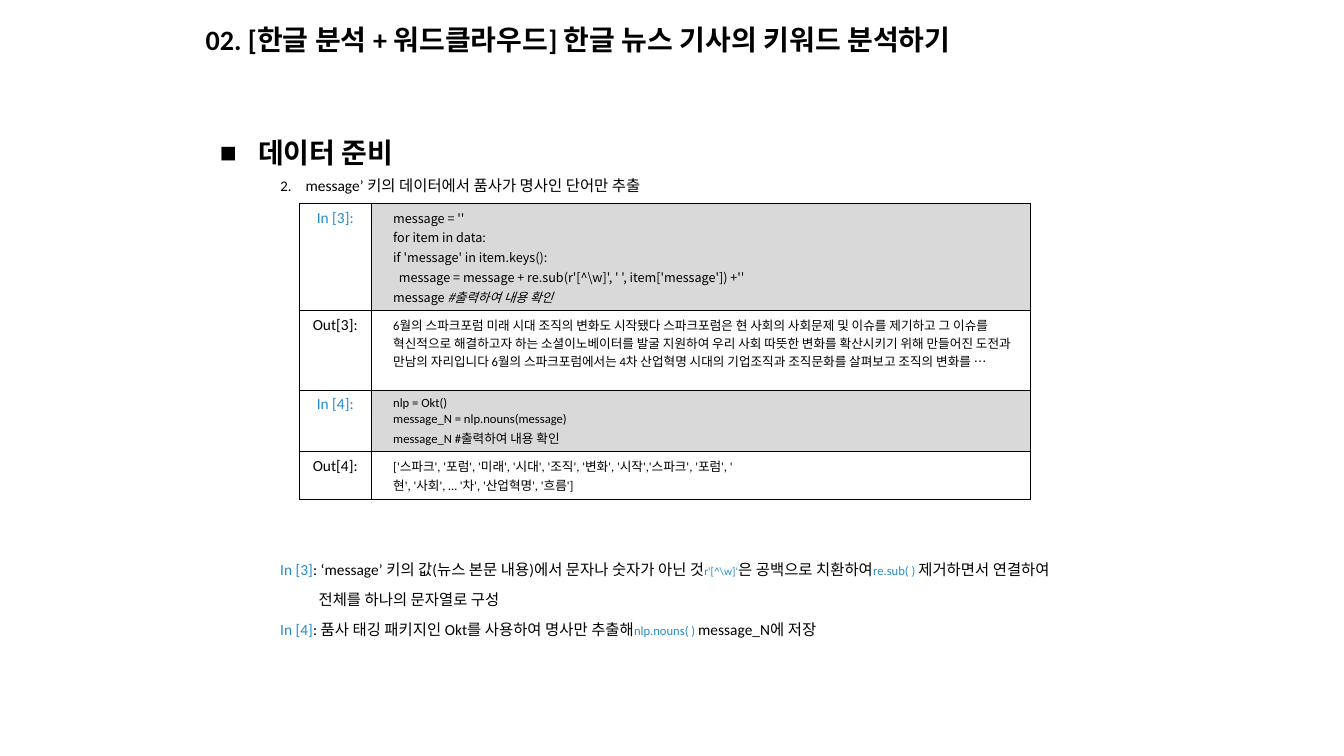
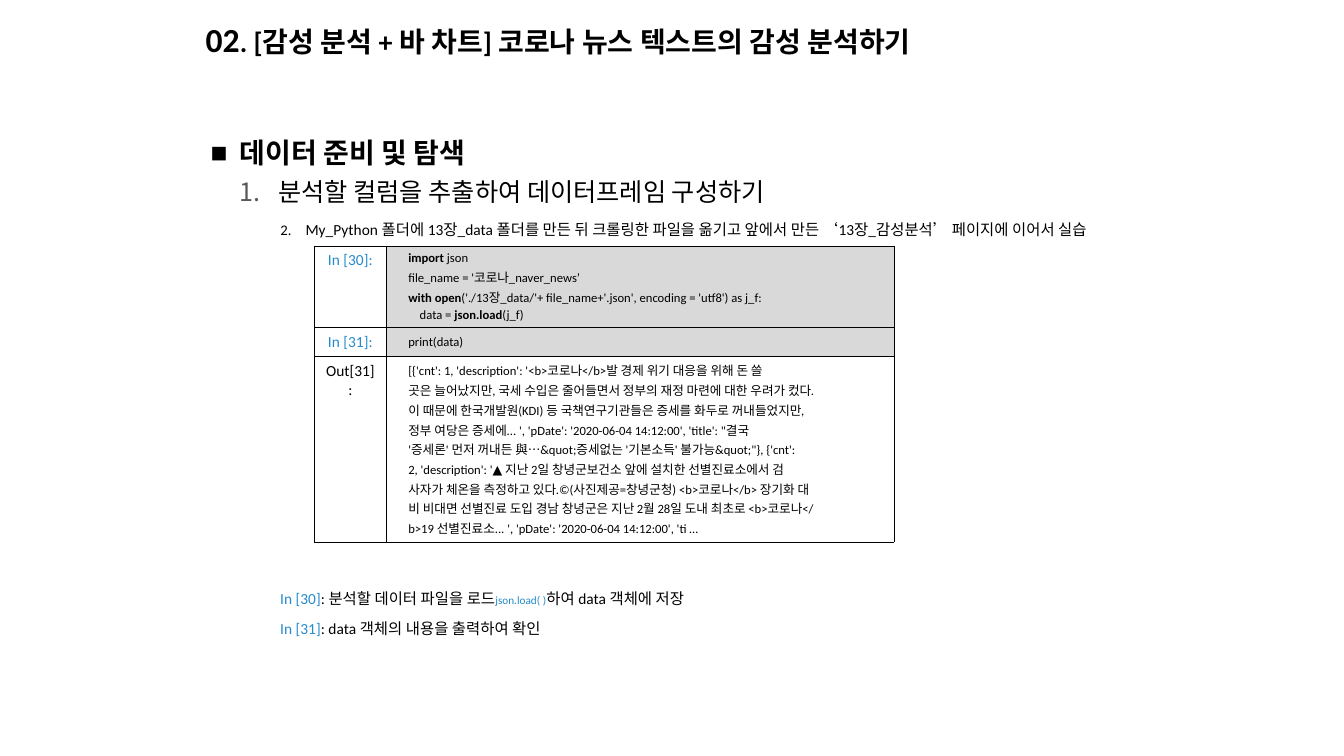
from lxml import etree
from pptx import Presentation
from pptx import util as u
from pptx.dml.color import RGBColor
from pptx.enum import text
from pptx.oxml import ns

BLACK = RGBColor(0x00, 0x00, 0x00)
WHITE = RGBColor(0xFF, 0xFF, 0xFF)
BLUE = RGBColor(0x25, 0x8B, 0xCD)
CODE_GREY = RGBColor(0xD9, 0xD9, 0xD9)
NUMBER_GREY = RGBColor(0x59, 0x59, 0x59)
LATIN_FONT = "Calibri"
KOREAN_FONT = "Noto Sans CJK KR"
LINE_RATIO = 1.22

BOLD = {"bold": True}
ITALIC = {"italic": True}
PROMPT = {"color": BLUE}
TERM = {"color": BLUE, "size": 9}
SMALL_TERM = {"color": BLUE, "size": 8}
HEADING = {"size": 20, "bold": True, "name": "Arial"}
NOTE = {"size": 11}
CODE = {"size": 9}

TITLE_GAPS = {"line_spacing": 0.9, "alignment": text.PP_ALIGN.LEFT}
LABEL_GAPS = {"alignment": text.PP_ALIGN.CENTER}
CODE_GAPS = {"space_before": u.Pt(0.5), "space_after": u.Pt(0.5)}
NOTE_GAPS = {"space_before": u.Pt(5), "space_after": u.Pt(3)}
STEP_GAPS = {"space_before": u.Pt(5), "space_after": u.Pt(4)}


def sub(parent, tag, **attributes):
    """Append a DrawingML child element."""
    return etree.SubElement(parent, ns.qn(f"a:{tag}"), attributes)


def set_values(target, values):
    """Set attributes from a dict."""
    for name, value in values.items():
        setattr(target, name, value)


def add_runs(paragraph, runs, style):
    """Write a string or (text, changes) runs into a paragraph."""
    for item in [runs] if isinstance(runs, str) else runs:
        words, changes = (item, {}) if isinstance(item, str) else item
        values = {"name": LATIN_FONT, "bold": False, "italic": False,
                  "color": BLACK, **style, **changes}
        run = paragraph.add_run()
        run.text = words
        run.font.color.rgb = values.pop("color")
        values["size"] = u.Pt(values["size"])
        set_values(run.font, values)
        sub(run.font._element, "ea", typeface=KOREAN_FONT)


def next_paragraph(frame):
    """Return the empty first paragraph or a new one."""
    first = frame.paragraphs[0]
    return frame.add_paragraph() if first.runs else first


def add_paragraph(frame, runs, style, gaps, margin=0, hanging=0, bullet=None):
    """Add a paragraph with its spacing, indent and bullet."""
    paragraph = next_paragraph(frame)
    set_values(paragraph, gaps)
    if paragraph is not None and len(frame.paragraphs) == 1:
        paragraph.space_before = u.Pt(0)
    properties = paragraph._p.get_or_add_pPr()
    properties.set("marL", str(u.Inches(margin)))
    properties.set("indent", str(-u.Inches(hanging)))
    if bullet:
        color = sub(properties, "buClr")
        sub(color, "srgbClr", val=str(bullet["color"]))
        sub(properties, "buSzPct", val=bullet.get("percent", "100000"))
        sub(properties, "buFont", typeface=bullet.get("font", LATIN_FONT))
        if "char" in bullet:
            sub(properties, "buChar", char=bullet["char"])
        else:
            sub(properties, "buAutoNum", type="arabicPeriod",
                startAt=str(bullet["start"]))
    add_runs(paragraph, runs, style)
    return paragraph


def add_line(frame, runs, style, gaps, **layout):
    """Add a paragraph with a fixed line height."""
    paragraph = add_paragraph(frame, runs, style, gaps, **layout)
    paragraph.line_spacing = u.Pt(round(style["size"] * LINE_RATIO, 1))


def add_title(slide, runs):
    """Place and fill the title placeholder."""
    title = slide.shapes.title
    set_values(title, {"left": u.Inches(1.94), "top": u.Inches(0.11),
                       "width": u.Inches(9.5), "height": u.Inches(0.6)})
    frame = title.text_frame
    set_values(frame, {"word_wrap": True, "auto_size": text.MSO_AUTO_SIZE.NONE,
                       "vertical_anchor": text.MSO_ANCHOR.MIDDLE})
    add_paragraph(frame, runs, {"size": 20, "bold": True}, TITLE_GAPS)


def add_text_frame(slide, left, top, width, height):
    """Add a wrapping text box without insets."""
    box = slide.shapes.add_textbox(*map(u.Inches, (left, top, width, height)))
    frame = box.text_frame
    set_values(frame, {"word_wrap": True, "margin_left": 0, "margin_top": 0,
                       "margin_right": 0, "margin_bottom": 0})
    return frame


def add_outline(slide, heading, margin, hanging, instruction, start, step=None):
    """Add the section heading, optional step and instruction."""
    frame = add_text_frame(slide, 2.09, 1.34, 9.25, 1.1 if step else 0.65)
    add_line(frame, heading, HEADING, {}, margin=margin, hanging=hanging,
             bullet={"char": "■", "color": BLACK, "font": "Arial"})
    if step:
        add_line(frame, step, {"size": 18}, STEP_GAPS, margin=0.67, hanging=0.38,
                 bullet={"start": 1, "color": NUMBER_GREY})
    add_line(frame, instruction, NOTE, NOTE_GAPS, margin=0.94, hanging=0.25,
             bullet={"start": start, "color": BLACK, "percent": "96000"})


def add_notes(slide, top, notes):
    """Add the explanations under the table as (runs, margin) pairs."""
    frame = add_text_frame(slide, 2.78, top, 8.56, 0.3 * len(notes))
    for runs, margin in notes:
        add_line(frame, runs, NOTE, NOTE_GAPS, margin=margin)


def style_cell(cell, color):
    """Fill a cell and draw its thin black borders."""
    cell.fill.solid()
    cell.fill.fore_color.rgb = color
    properties = cell._tc.get_or_add_tcPr()
    for index, side in enumerate("LRTB"):
        border = sub(properties, f"ln{side}", w=str(u.Pt(0.25)))
        sub(sub(border, "solidFill"), "srgbClr", val=str(BLACK))
        properties.insert(index, border)


def add_notebook(slide, left, top, code_width, anchor, rows):
    """Add a table of (label, height, lines, style) notebook cells."""
    widths = (0.71, code_width)
    height = sum(row[1] for row in rows)
    frame = slide.shapes.add_table(
        len(rows), 2, *map(u.Inches, (left, top, sum(widths), height)))
    table = frame.table
    set_values(table, {"first_row": False, "horz_banding": False})
    for column, width in zip(table.columns, widths):
        column.width = u.Inches(width)
    for index, (label, row_height, lines, style) in enumerate(rows):
        table.rows[index].height = u.Inches(row_height)
        is_input = label.startswith("In")
        label_cell, code_cell = table.rows[index].cells
        style_cell(label_cell, WHITE)
        style_cell(code_cell, CODE_GREY if is_input else WHITE)
        code_cell.vertical_anchor = anchor
        label_style = {**NOTE, "color": BLUE if is_input else BLACK}
        add_paragraph(label_cell.text_frame, label, label_style, LABEL_GAPS)
        for line in lines:
            add_paragraph(code_cell.text_frame, line, style, CODE_GAPS, margin=0.12)


def add_keyword_slide(slide):
    """Build the slide that extracts nouns."""
    add_title(slide, "02. [한글 분석 + 워드클라우드] 한글 뉴스 기사의 키워드 분석하기")
    add_outline(slide, "데이터 준비", 0.47, 0.38,
                "message’ 키의 데이터에서 품사가 명사인 단어만 추출", 2)
    add_notebook(slide, 2.97, 2.02, 6.54, text.MSO_ANCHOR.TOP, [
        ("In [3]:", 1.06, [
            "message = ''",
            "for item in data:",
            "if 'message' in item.keys():",
            r"  message = message + re.sub(r'[^\w]', ' ', item['message']) +''",
            ["message ", ("#출력하여 내용 확인", ITALIC)],
        ], {**CODE, "name": KOREAN_FONT}),
        ("Out[3]:", 0.79, [
            "6월의 스파크포럼 미래 시대 조직의 변화도 시작됐다 스파크포럼은 현 사회의 "
            "사회문제 및 이슈를 제기하고 그 이슈를 혁신적으로 해결하고자 하는 "
            "소셜이노베이터를 발굴 지원하여 우리 사회 따뜻한 변화를 확산시키기 위해 "
            "만들어진 도전과 만남의 자리입니다 6월의 스파크포럼에서는 4차 산업혁명 "
            "시대의 기업조직과 조직문화를 살펴보고 조직의 변화를 …",
        ], CODE),
        ("In [4]:", 0.61, [
            "nlp = Okt()",
            "message_N = nlp.nouns(message)",
            "message_N #출력하여 내용 확인",
        ], CODE),
        ("Out[4]:", 0.47, [
            "['스파크', '포럼', '미래', '시대', '조직', '변화', '시작','스파크', '포럼', '",
            "현', '사회', … '차', '산업혁명', '흐름']",
        ], CODE),
    ])
    add_notes(slide, 5.55, [
        ([("In [3]", PROMPT), ": ‘message’ 키의 값(뉴스 본문 내용)에서 문자나 숫자가 아닌 것",
          (r"r'[^\w]'", SMALL_TERM), "은 공백으로 치환하여", ("re.sub( ) ", TERM),
          "제거하면서 연결하여"], 0),
        ("전체를 하나의 문자열로 구성", 0.38),
        ([("In [4]", PROMPT), ": 품사 태깅 패키지인 Okt를 사용하여 명사만 추출해",
          ("nlp.nouns( ) ", TERM), "message_N에 저장"], 0),
    ])


def add_sentiment_slide(slide):
    """Build the slide that loads the news data."""
    add_title(slide, [("02", {"size": 24}),
                      ". [감성 분석 + 바 차트] 코로나 뉴스 텍스트의 감성 분석하기"])
    add_outline(slide, "데이터 준비 및 탐색", 0.29, 0.29,
                "My_Python 폴더에 13장_data 폴더를 만든 뒤 크롤링한 파일을 옮기고 "
                "앞에서 만든 ‘13장_감성분석’ 페이지에 이어서 실습", 1,
                "분석할 컬럼을 추출하여 데이터프레임 구성하기")
    add_notebook(slide, 3.12, 2.44, 5.04, text.MSO_ANCHOR.MIDDLE, [
        ("In [30]:", 0.81, [
            [("import ", BOLD), "json"],
            "file_name = '코로나_naver_news’",
            [("with open", BOLD),
             "('./13장_data/'+ file_name+'.json', encoding = 'utf8') as j_f:"],
            ["    data = ", ("json.load", BOLD), "(j_f)"],
        ], CODE),
        ("In [31]:", 0.28, ["print(data)"], CODE),
        ("Out[31]:", 1.84, [
            "[{'cnt': 1, 'description': '<b>코로나</b>발 경제 위기 대응을 위해 돈 쓸",
            "곳은 늘어났지만, 국세 수입은 줄어들면서 정부의 재정 마련에 대한 우려가 컸다.",
            "이 때문에 한국개발원(KDI) 등 국책연구기관들은 증세를 화두로 꺼내들었지만,",
            "정부 여당은 증세에... ', 'pDate': '2020-06-04 14:12:00', 'title': \"결국",
            "'증세론' 먼저 꺼내든 與…&quot;증세없는 '기본소득' 불가능&quot;\"}, {'cnt':",
            "2, 'description': '▲ 지난 2일 창녕군보건소 앞에 설치한 선별진료소에서 검",
            "사자가 체온을 측정하고 있다.©(사진제공=창녕군청) <b>코로나</b> 장기화 대",
            "비 비대면 선별진료 도입 경남 창녕군은 지난 2월 28일 도내 최초로 <b>코로나</",
            "b>19 선별진료소... ', 'pDate': '2020-06-04 14:12:00', 'ti …",
        ], CODE),
    ])
    add_notes(slide, 5.84, [
        ([("In [30]", PROMPT), ": 분석할 데이터 파일을 로드", ("json.load( )", SMALL_TERM),
          "하여 data 객체에 저장"], 0),
        ([("In [31]", PROMPT), ": data 객체의 내용을 출력하여 확인"], 0),
    ])


def main():
    """Create and save the presentation."""
    presentation = Presentation()
    set_values(presentation, {"slide_width": u.Inches(13.33),
                              "slide_height": u.Inches(7.5)})
    title_only = presentation.slide_layouts[5]
    for build in (add_keyword_slide, add_sentiment_slide):
        build(presentation.slides.add_slide(title_only))
    presentation.save("out.pptx")


if __name__ == "__main__":
    main()
